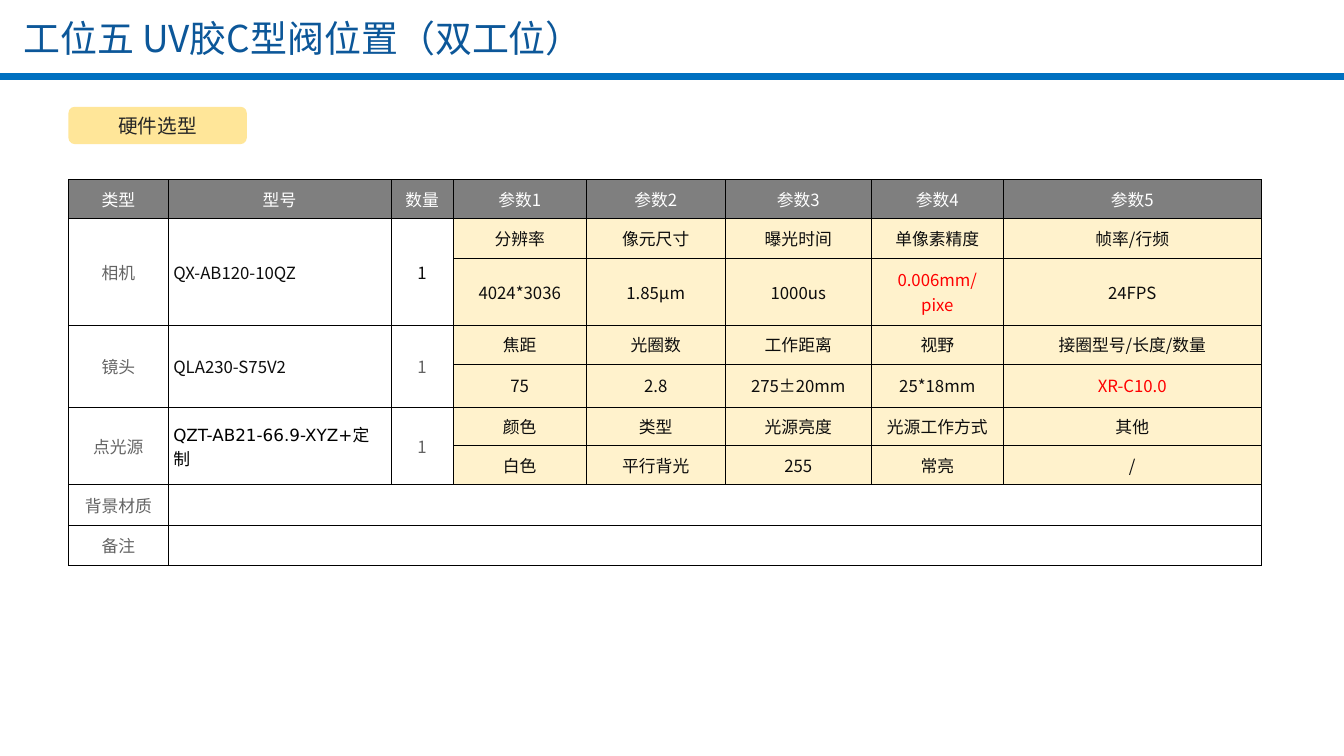
from lxml import etree
from pptx import Presentation
from pptx import util as u
from pptx.dml.color import RGBColor
from pptx.enum import shapes, text
from pptx.oxml import ns

NAVY = RGBColor(0x0C, 0x57, 0x99)
BLUE = RGBColor(0x00, 0x70, 0xC0)
GOLD = RGBColor(0xFF, 0xE6, 0x99)
CREAM = RGBColor(0xFF, 0xF2, 0xCC)
GRAY = RGBColor(0x7F, 0x7F, 0x7F)
SLATE = RGBColor(0x64, 0x64, 0x64)
DARK = RGBColor(0x26, 0x26, 0x26)
INK = RGBColor(0x0D, 0x0D, 0x0D)
BLACK = RGBColor(0x00, 0x00, 0x00)
RED = RGBColor(0xFF, 0x00, 0x00)
WHITE = RGBColor(0xFF, 0xFF, 0xFF)
SANS = "Noto Sans CJK SC"
MID = text.PP_ALIGN.CENTER
LEFT = text.PP_ALIGN.LEFT


def write(frame, words, size, tint, align=MID, face=SANS):
    para = frame.paragraphs[0]
    para.alignment = align
    run = para.add_run()
    run.text = words
    run.font.size = u.Pt(size)
    run.font.bold = False
    run.font.name = face
    run.font.color.rgb = tint
    east = etree.SubElement(run.font._element, ns.qn("a:ea"))
    east.set("typeface", SANS)


def edge(cell):
    props = cell._tc.get_or_add_tcPr()
    for spot, side in enumerate(("lnL", "lnR", "lnT", "lnB")):
        line = etree.Element(ns.qn("a:" + side), w=str(u.Pt(0.45)))
        fill = etree.SubElement(line, ns.qn("a:solidFill"))
        etree.SubElement(fill, ns.qn("a:srgbClr"), val=str(BLACK))
        props.insert(spot, line)


deck = Presentation()
deck.slide_width, deck.slide_height = u.Inches(13.34), u.Inches(7.5)
slide = deck.slides.add_slide(deck.slide_layouts[5])
left = u.Inches(0.68)

# Title
title = slide.shapes.title
title.left, title.top = u.Inches(0.13), u.Inches(0.13)
title.width, title.height = u.Inches(12), u.Inches(0.58)
frame = title.text_frame
frame.auto_size = text.MSO_AUTO_SIZE.NONE
frame.vertical_anchor = text.MSO_ANCHOR.MIDDLE
frame.paragraphs[0].line_spacing = 0.8
write(frame, "工位五 UV胶C型阀位置（双工位）", 26.4, NAVY, LEFT)

# Rule under the title
rule = slide.shapes.add_connector(
    shapes.MSO_CONNECTOR.STRAIGHT, 0, u.Inches(0.76), deck.slide_width, u.Inches(0.76))
rule.line.color.rgb = BLUE
rule.line.width = u.Pt(4.75)
etree.SubElement(rule._element.spPr, ns.qn("a:effectLst"))

# Section tag
tag = slide.shapes.add_shape(
    shapes.MSO_SHAPE.ROUNDED_RECTANGLE, left, u.Inches(1.06), u.Inches(1.77), u.Inches(0.37))
tag.shadow.inherit = False
tag.fill.solid()
tag.fill.fore_color.rgb = GOLD
tag.line.fill.background()
tag.text_frame.vertical_anchor = text.MSO_ANCHOR.MIDDLE
write(tag.text_frame, "硬件选型", 14, DARK)

# Hardware table
rows = [
    ["类型", "型号", "数量", "参数1", "参数2", "参数3", "参数4", "参数5"],
    ["相机", "QX-AB120-10QZ", "1", "分辨率", "像元尺寸", "曝光时间", "单像素精度", "帧率/行频"],
    ["", "", "", "4024*3036", "1.85μm", "1000us", "0.006mm/pixe", "24FPS"],
    ["镜头", "QLA230-S75V2", "1", "焦距", "光圈数", "工作距离", "视野", "接圈型号/长度/数量"],
    ["", "", "", "75", "2.8", "275±20mm", "25*18mm", "XR-C10.0"],
    ["点光源", "QZT-AB21-66.9-XYZ+定制", "1", "颜色", "类型", "光源亮度", "光源工作方式", "其他"],
    ["", "", "", "白色", "平行背光", "255", "常亮", "/"],
    ["背景材质"] + [""] * 7,
    ["备注"] + [""] * 7,
]
wide = [0.99, 2.21, 0.62, 1.32, 1.38, 1.45, 1.31, 2.56]
tall = [0.39, 0.39, 0.67, 0.38, 0.43, 0.38, 0.39, 0.4, 0.4]
table = slide.shapes.add_table(
    len(tall), len(wide), left, u.Inches(1.78),
    u.Inches(sum(wide)), u.Inches(sum(tall))).table
for col, size in zip(table.columns, wide):
    col.width = u.Inches(size)
for row, size in zip(table.rows, tall):
    row.height = u.Inches(size)

# Merge each device over two rows, and each note over the rest of its row
for r in (1, 3, 5):
    for c in range(3):
        table.cell(r, c).merge(table.cell(r + 1, c))
for r in (7, 8):
    table.cell(r, 1).merge(table.cell(r, 7))

# Cell text, fills and borders
special = {(1, 2): INK, (2, 6): RED, (4, 7): RED, (5, 1): BLACK}
for r, row in enumerate(rows):
    for c, words in enumerate(row):
        cell = table.cell(r, c)
        param = c > 2 and r < 7
        cell.fill.solid()
        cell.fill.fore_color.rgb = GRAY if r == 0 else CREAM if param else WHITE
        edge(cell)
        cell.vertical_anchor = text.MSO_ANCHOR.MIDDLE
        pad = 0.13 if param and r in (2, 4) else 0.05
        cell.margin_left = cell.margin_right = u.Inches(pad)
        if not words:
            cell.text_frame.paragraphs[0].font.size = u.Pt(12)
            continue
        tint = WHITE if r == 0 else SLATE if c in (0, 2) else INK
        write(cell.text_frame, words, 12, special.get((r, c), tint),
              LEFT if c == 1 and r else MID,
              "DejaVu Sans" if (r, c) == (5, 1) else SANS)

deck.save("out.pptx")
